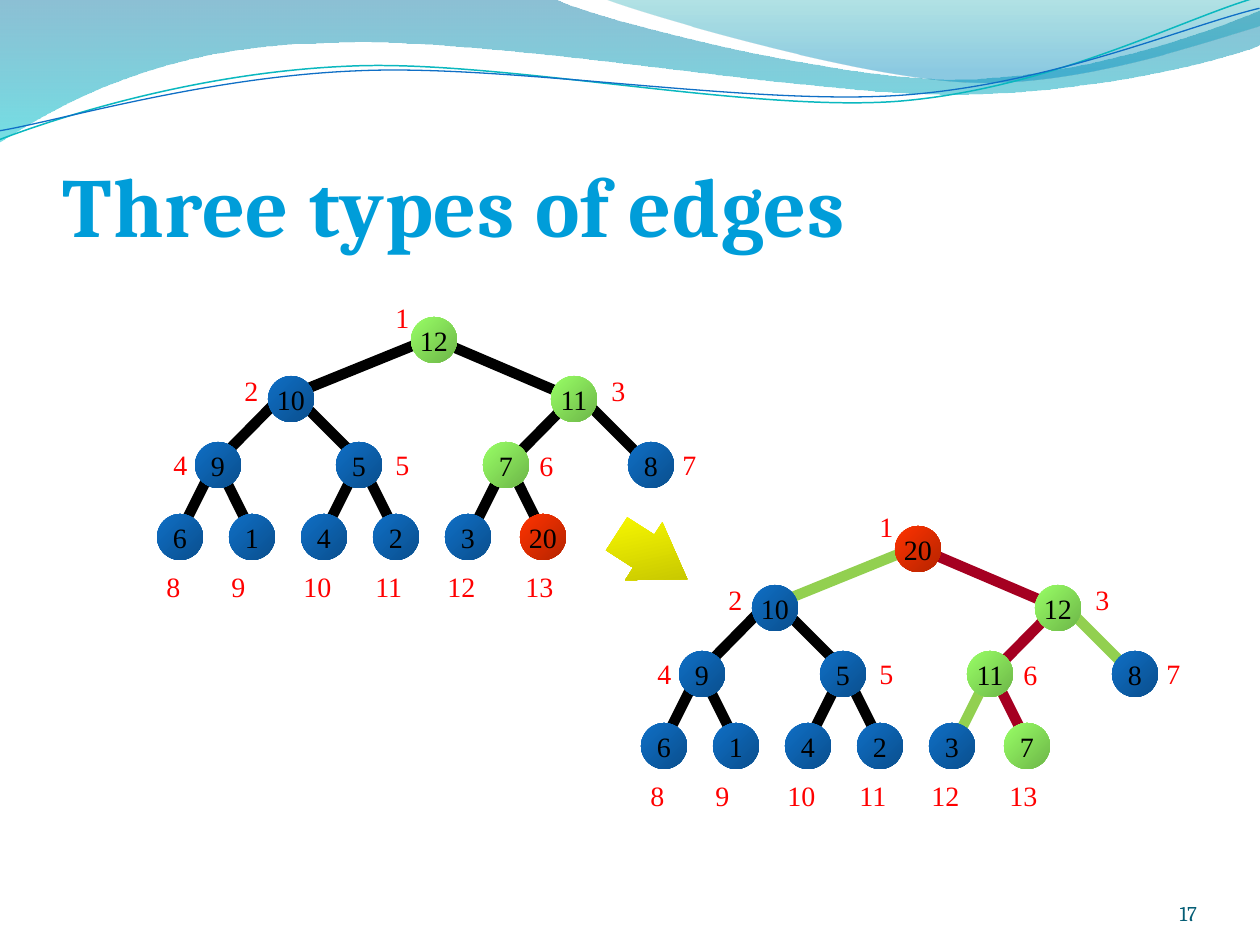
"""Build the slide comparing edge types in a heap before and after a bubble-up."""
from lxml import etree
from pptx import Presentation
from pptx import util as u
from pptx.dml.color import RGBColor
from pptx.enum import shapes, text
from pptx.oxml.ns import qn

PX = 7257
NODE_SIZE = 46
BLUE, GREEN, RED, YELLOW = "0F6FC6", "99FF66", "FF3300", "FFFF00"
BLACK, LIME, CRIMSON = "000000", "92D050", "A50021"


def paint_gradient(fill, element, angle, stops):
    fill.gradient()
    fill.gradient_angle = angle
    for stop, (position, color, _, _) in zip(fill.gradient_stops, stops):
        stop.color.rgb = RGBColor.from_string(color)
        stop.position = position
    for node, (_, _, effect, percent) in zip(element.iter(qn("a:srgbClr")), stops):
        if effect:
            etree.SubElement(node, qn(f"a:{effect}"), val=str(round(percent * 1000)))


def write(shape, words, size, font_name, color, align, anchor, wrap=False):
    frame = shape.text_frame
    frame.word_wrap = wrap
    frame.vertical_anchor = anchor
    paragraph = frame.paragraphs[0]
    paragraph.text = str(words)
    paragraph.alignment = align
    paragraph.font.size = u.Pt(size)
    paragraph.font.name = font_name
    paragraph.font.color.rgb = RGBColor.from_string(color)
    return frame


presentation = Presentation()
presentation.slide_width, presentation.slide_height = 1260 * PX, 945 * PX
slide = presentation.slides.add_slide(presentation.slide_layouts[6])

waves = [
    ((0, 0),
     [[(554, -1)], [(600, 21), (837, 79), (955, 79)], [(1075, 79), (1207, 33), (1260, 11)],
      [(1261, 45)], [(1239, 55), (1096, 96), (940, 94)], [(784, 92), (481, 35), (324, 43)],
      [(163, 45), (58, 105), (-1, 142)], [(0, 0)]],
     [(0, "0074A1", "alpha", 45), (1, "00C6CF", "alpha", 55)], None),
    ((604, -1),
     [[(641, 14), (859, 78), (969, 82)], [(1079, 87), (1211, 40), (1260, 26)],
      [(1260, 0)], [(604, -1)]],
     [(0, "00A1A9", "alpha", 30), (0.8, "008BBF", "alpha", 45)], None),
    ((-3, 110),
     [[(58, 90), (199, 52), (350, 53)], [(499, 53), (745, 118), (896, 114)],
      [(1049, 109), (1184, 45), (1260, 27)]],
     "0AB8BF", 0.85),
    ((-2, 101),
     [[(57, 94), (207, 57), (357, 58)], [(509, 58), (750, 112), (902, 108)],
      [(1052, 104), (1188, 52), (1262, 38)]],
     "0F6FC6", 0.75),
]
for start, segments, color, line_width in waves:
    builder = slide.shapes.build_freeform(start[0] * PX, start[1] * PX)
    builder.add_line_segments(
        [(x * PX, y * PX) for segment in segments for x, y in segment],
        close=line_width is None)
    wave = builder.convert_to_shape()
    wave.shadow.inherit = False
    steps = iter(list(wave.element.iter(qn("a:lnTo"))))
    for segment in segments:
        first, *others = [next(steps) for _ in segment]
        if others:
            first.tag = qn("a:cubicBezTo")
            for step in others:
                first.append(step[0])
                step.getparent().remove(step)
    if line_width is None:
        paint_gradient(wave.fill, wave.element.spPr, 270, color)
        wave.line.fill.background()
    else:
        wave.rotation = 357.3
        wave.fill.background()
        wave.line.color.rgb = RGBColor.from_string(color)
        wave.line.width = u.Pt(line_width)

page_number = slide.shapes.add_textbox(1092 * PX, 876 * PX, 105 * PX, 50 * PX)
frame = write(page_number, 17, 12, "Cambria", "045D75",
              text.PP_ALIGN.RIGHT, text.MSO_ANCHOR.BOTTOM, True)
frame.margin_left = frame.margin_right = frame.margin_top = frame.margin_bottom = 0

title = slide.shapes.add_textbox(63 * PX, 97 * PX, 1134 * PX, 157 * PX)
frame = write(title, "Three types of edges", 48, "Cambria", "009DD9",
              text.PP_ALIGN.LEFT, text.MSO_ANCHOR.BOTTOM, True)
frame.margin_left = frame.margin_right = frame.margin_bottom = 0
run = frame.paragraphs[0].runs[0]
run.font.bold = True
run_properties = run.font._element
run_properties.set("spc", "50")
paint_gradient(run.font.fill, run_properties, 270,
               [(0.25, "009DD9", None, 0), (1, "006F99", None, 0)])

node_centers = [(434, 340), (291, 399), (574, 399), (218, 465), (359, 465), (506, 465),
                (651, 465), *((180 + 72 * column, 537) for column in range(5)), (543, 537)]
index_corners = [(383, 294), (232, 367), (599, 367), (161, 441), (383, 441), (527, 442),
                 (670, 441), (154, 563), *((219 + 72 * column, 563) for column in range(4)),
                 (513, 563)]
edges = [(432, 338, 289, 396), (432, 338, 582, 402), (282, 396, 218, 461),
         (295, 396, 360, 461), (572, 399, 507, 465), (582, 398, 648, 464),
         *((x, 461, x + side, 539) for x in (216, 360, 507) for side in (-39, 39))]
node_colors = {12: GREEN, 11: GREEN, 7: GREEN, 20: RED}
trees = [
    (0, 0, [12, 10, 11, 9, 5, 7, 8, 6, 1, 4, 2, 3, 20], {}),
    (484, 209, [20, 10, 12, 9, 5, 11, 8, 6, 1, 4, 2, 3, 7],
     {2: LIME, 3: CRIMSON, 6: CRIMSON, 7: LIME, 12: LIME, 13: CRIMSON}),
]
for left, top, values, edge_colors in trees:
    for child, (x1, y1, x2, y2) in enumerate(edges, 2):
        edge = slide.shapes.add_connector(
            shapes.MSO_CONNECTOR.STRAIGHT, (left + x1) * PX, (top + y1) * PX,
            (left + x2) * PX, (top + y2) * PX)
        edge.line.color.rgb = RGBColor.from_string(edge_colors.get(child, BLACK))
        edge.line.width = u.Pt(6)
        etree.SubElement(edge.element.spPr, qn("a:effectLst"))
    for value, (x, y) in zip(values, node_centers):
        node = slide.shapes.add_shape(
            shapes.MSO_SHAPE.OVAL, (left + x - NODE_SIZE // 2) * PX,
            (top + y - NODE_SIZE // 2) * PX, NODE_SIZE * PX, NODE_SIZE * PX)
        node.shadow.inherit = False
        color = node_colors.get(value, BLUE)
        paint_gradient(node.fill, node.element.spPr, 315,
                       [(0, color, None, 0), (1, color, "shade", 46.27)])
        node.line.fill.background()
        write(node, value, 16, "Times New Roman", BLACK,
              text.PP_ALIGN.CENTER, text.MSO_ANCHOR.MIDDLE)
    for index, (x, y) in enumerate(index_corners, 1):
        label = slide.shapes.add_textbox(
            (left + x) * PX, (top + y) * PX, (39 if index < 10 else 53) * PX, 47 * PX)
        frame = write(label, index, 16, "Times New Roman", "FF0000",
                      text.PP_ALIGN.LEFT, text.MSO_ANCHOR.TOP)
        frame.auto_size = text.MSO_AUTO_SIZE.SHAPE_TO_FIT_TEXT

arrow = slide.shapes.add_shape(
    shapes.MSO_SHAPE.RIGHT_ARROW, 610 * PX, 522 * PX, 84 * PX, 69 * PX)
arrow.rotation = 32.7
arrow.adjustments[0], arrow.adjustments[1] = 0.57, 0.75
arrow.shadow.inherit = False
paint_gradient(arrow.fill, arrow.element.spPr, 315,
               [(0, YELLOW, None, 0), (1, YELLOW, "shade", 46.27)])
arrow.line.fill.background()

presentation.save("out.pptx")
